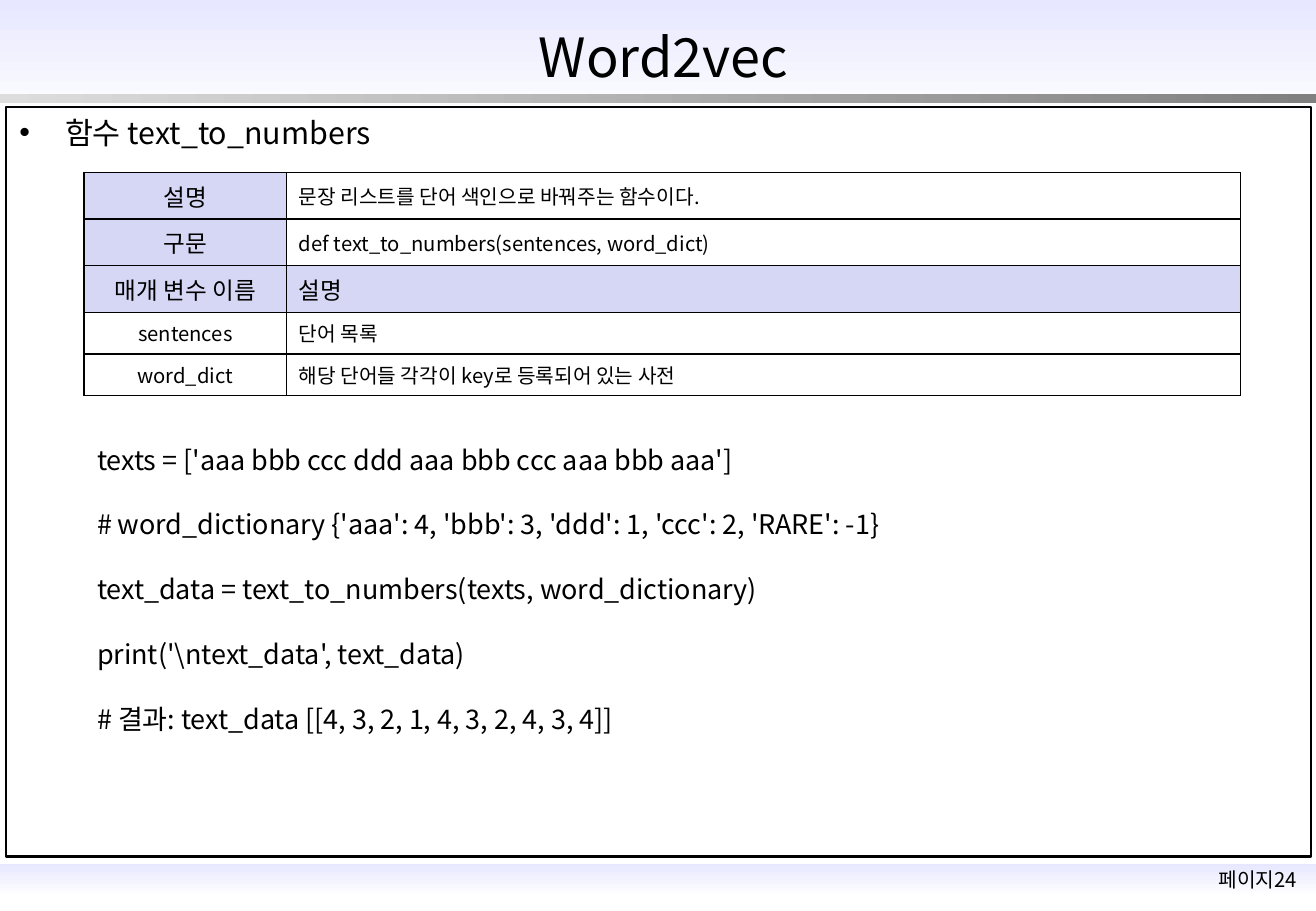
from dataclasses import dataclass

from lxml.etree import SubElement
from pptx import Presentation
from pptx.dml.color import RGBColor as RGB
from pptx.enum.shapes import MSO_SHAPE as Shape
from pptx.enum.text import MSO_ANCHOR as Anchor, MSO_AUTO_SIZE as AutoSize, PP_ALIGN as Align
from pptx.oxml import parse_xml
from pptx.oxml.ns import nsdecls, qn
from pptx.util import Inches, Pt


@dataclass(frozen=True)
class Theme:
    """Colours, font and type sizes of the slide."""
    font: str = "Noto Sans CJK KR"
    ink: str = "000000"
    band: str = "E7E7FF"
    paper: str = "FFFFFF"
    rule_light: str = "DDDDDD"
    rule_dark: str = "808080"
    label: str = "D6D6F5"
    title: int = 32
    topic: int = 18
    code: int = 16
    heading: int = 14
    small: int = 12


@dataclass(frozen=True)
class Box:
    """A region in grid columns and rows."""
    left: float
    top: float
    width: float
    height: float

    def inside(self, left, top, width, height):
        """Return a box offset from this one's corner."""
        return Box(self.left + left, self.top + top, width, height)

    def emu(self):
        """Return left, top, width and height as lengths."""
        return [grid(n) for n in (self.left, self.top, self.width, self.height)]


THEME = Theme()
COLUMNS, ROWS = 108.3, 75

FUNCTION_ROWS = [
    ("설명", "문장 리스트를 단어 색인으로 바꿔주는 함수이다."),
    ("구문", "def text_to_numbers(sentences, word_dict)"),
    ("매개 변수 이름", "설명"),
    ("sentences", "단어 목록"),
    ("word_dict", "해당 단어들 각각이 key로 등록되어 있는 사전"),
]
PARAMETER_HEADING = 2

CODE_LINES = [
    "texts = ['aaa bbb ccc ddd aaa bbb ccc aaa bbb aaa']",
    "# word_dictionary {'aaa': 4, 'bbb': 3, 'ddd': 1, 'ccc': 2, 'RARE': -1}",
    "text_data = text_to_numbers(texts, word_dictionary)",
    "print('\\ntext_data', text_data)",
    "# 결과: text_data [[4, 3, 2, 1, 4, 3, 2, 4, 3, 4]]",
]


def grid(count):
    """Convert grid units, ten to the inch, to a length."""
    return Inches(count / 10)


def write(paragraph, text, size, align=Align.LEFT, before=0.0):
    """Fill a paragraph; space before is a share of the type size."""
    paragraph.text = text
    paragraph.alignment = align
    paragraph.space_before = Pt(before * size)
    font = paragraph.font
    font.name, font.size = THEME.font, Pt(size)
    font.color.rgb = RGB.from_string(THEME.ink)
    east_asian = SubElement(paragraph._p.pPr.find(qn("a:defRPr")), qn("a:ea"))
    east_asian.set("typeface", THEME.font)


def add_panel(slide, box):
    """Add a rectangle without shadow or line."""
    panel = slide.shapes.add_shape(Shape.RECTANGLE, *box.emu())
    panel.shadow.inherit = False
    panel.line.fill.background()
    return panel


def add_gradient(slide, box, colors, angle):
    """Add a rectangle that blends between two colours."""
    fill = add_panel(slide, box).fill
    fill.gradient()
    fill.gradient_angle = angle
    for stop, color, position in zip(fill.gradient_stops, colors, (0, 1)):
        stop.color.rgb = RGB.from_string(color)
        stop.position = position


def add_text_box(slide, box):
    """Add a wrapping text box and return its frame."""
    frame = slide.shapes.add_textbox(*box.emu()).text_frame
    frame.word_wrap = True
    return frame


def place(slide, placeholder, box, anchor):
    """Move a placeholder to a box, in front of what is drawn so far."""
    placeholder.left, placeholder.top, placeholder.width, placeholder.height = box.emu()
    slide.shapes._spTree.append(placeholder._element)
    frame = placeholder.text_frame
    frame.auto_size, frame.vertical_anchor = AutoSize.NONE, anchor
    return frame.paragraphs[0]


def draw_header(slide, box):
    """Draw the title band with its rule and the title."""
    add_gradient(slide, box, (THEME.band, THEME.paper), 270)
    add_gradient(slide, box.inside(0, 7.7, box.width, 0.8),
                 (THEME.rule_light, THEME.rule_dark), 0)
    title = place(slide, slide.shapes.title, box.inside(4, 1.7, 101.2, 5.8), Anchor.MIDDLE)
    write(title, "Word2vec", THEME.title, Align.CENTER)


def draw_footer(slide, box):
    """Draw the bottom band and the page number."""
    add_gradient(slide, box, (THEME.band, THEME.paper), 270)
    page = add_text_box(slide, box.inside(98.2, -0.2, 10.6, 3))
    write(page.paragraphs[0], "페이지24", THEME.small, Align.CENTER)


def border(cell):
    """Draw a thin line on all four sides of a cell."""
    properties = cell._tc.get_or_add_tcPr()
    for place_in_order, side in enumerate("LRTB"):
        properties.insert(place_in_order, parse_xml(
            f'<a:ln{side} {nsdecls("a")} w="{Pt(1)}"><a:solidFill>'
            f'<a:srgbClr val="{THEME.ink}"/></a:solidFill></a:ln{side}>'))


def draw_function_table(slide, box):
    """Draw the table that describes the function and its parameters."""
    table = slide.shapes.add_table(len(FUNCTION_ROWS), 2, *box.emu()).table
    table.first_row = table.horz_banding = False
    name_width = 16.7
    for column, width in zip(table.columns, (name_width, box.width - name_width)):
        column.width = grid(width)
    for r, texts in enumerate(FUNCTION_ROWS):
        table.rows[r].height = grid(3.35 if r <= PARAMETER_HEADING else 3.03)
        for c, text in enumerate(texts):
            cell = table.cell(r, c)
            labelled = r == PARAMETER_HEADING or (c == 0 and r < PARAMETER_HEADING)
            cell.vertical_anchor = Anchor.MIDDLE
            cell.fill.solid()
            cell.fill.fore_color.rgb = RGB.from_string(THEME.label if labelled else THEME.paper)
            border(cell)
            write(cell.text_frame.paragraphs[0], text,
                  THEME.heading if labelled else THEME.small,
                  Align.LEFT if c else Align.CENTER, 0.2)


def draw_code(slide, box):
    """Write the example code, one line's height between lines."""
    frame = add_text_box(slide, box)
    for index, line in enumerate(CODE_LINES):
        paragraph = frame.add_paragraph() if index else frame.paragraphs[0]
        write(paragraph, line, THEME.code, before=1.2 if index else 0)


def draw_content(slide, box):
    """Draw the frame, topic, function table and code example."""
    frame = add_panel(slide, box)
    frame.fill.background()
    frame.line.color.rgb = RGB.from_string(THEME.ink)
    frame.line.width = Pt(1.5)
    topic = place(slide, slide.placeholders[1], box.inside(0.1, 0.1, 105.5, 4), Anchor.TOP)
    write(topic, "함수 text_to_numbers", THEME.topic, before=0.2)
    draw_function_table(slide, box.inside(6.4, 5.4, 95.2, 16.1))
    draw_code(slide, box.inside(6.5, 27.2, 84.2, 25.2))


def main():
    """Build and save the presentation."""
    deck = Presentation()
    deck.slide_width, deck.slide_height = grid(COLUMNS), grid(ROWS)
    slide = deck.slides.add_slide(deck.slide_layouts[1])
    draw_header(slide, Box(0, 0, COLUMNS, 10))
    draw_footer(slide, Box(0, 71.1, COLUMNS, 2.7))
    draw_content(slide, Box(0.5, 8.8, 107.4, 61.7))
    deck.save("out.pptx")


main()
